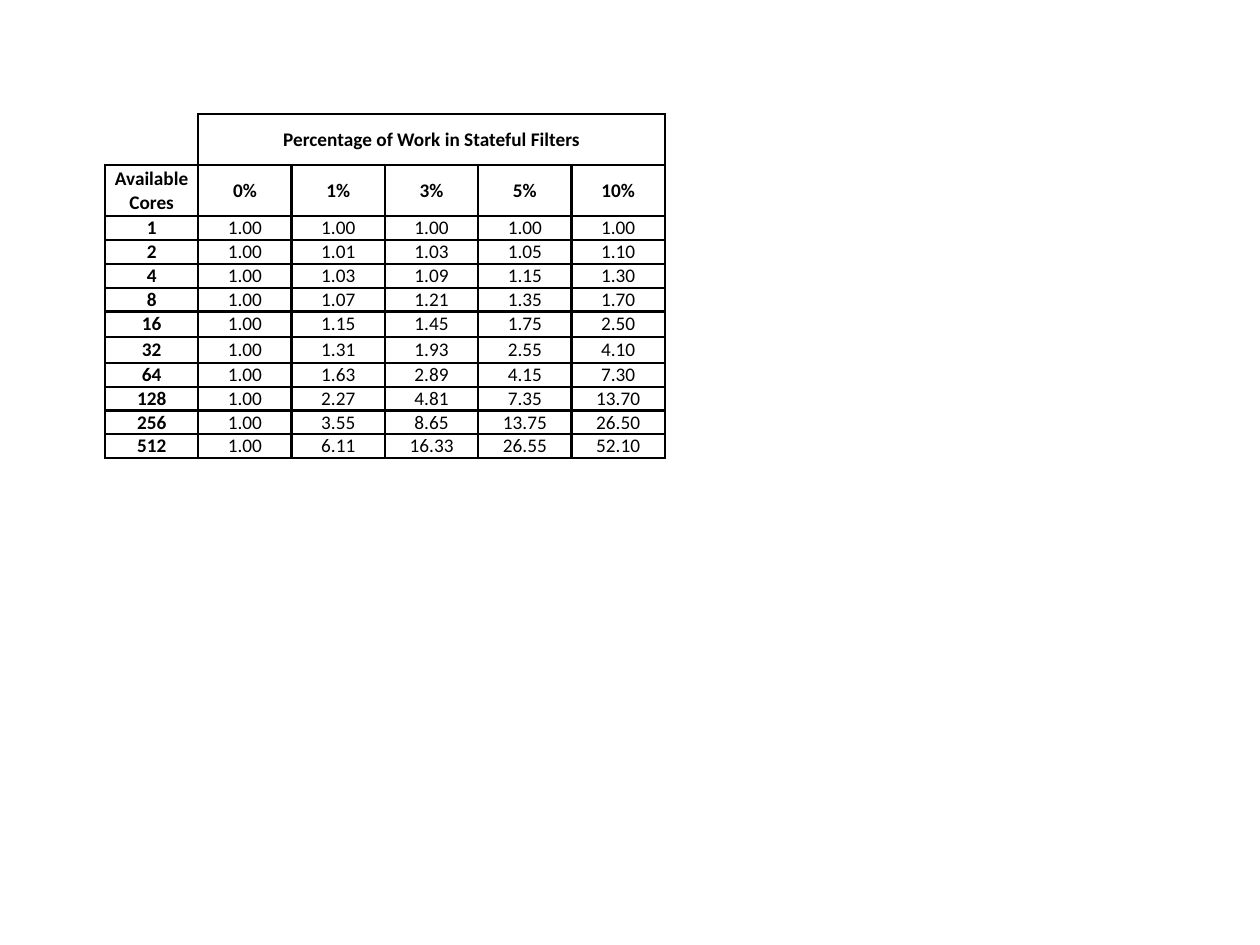
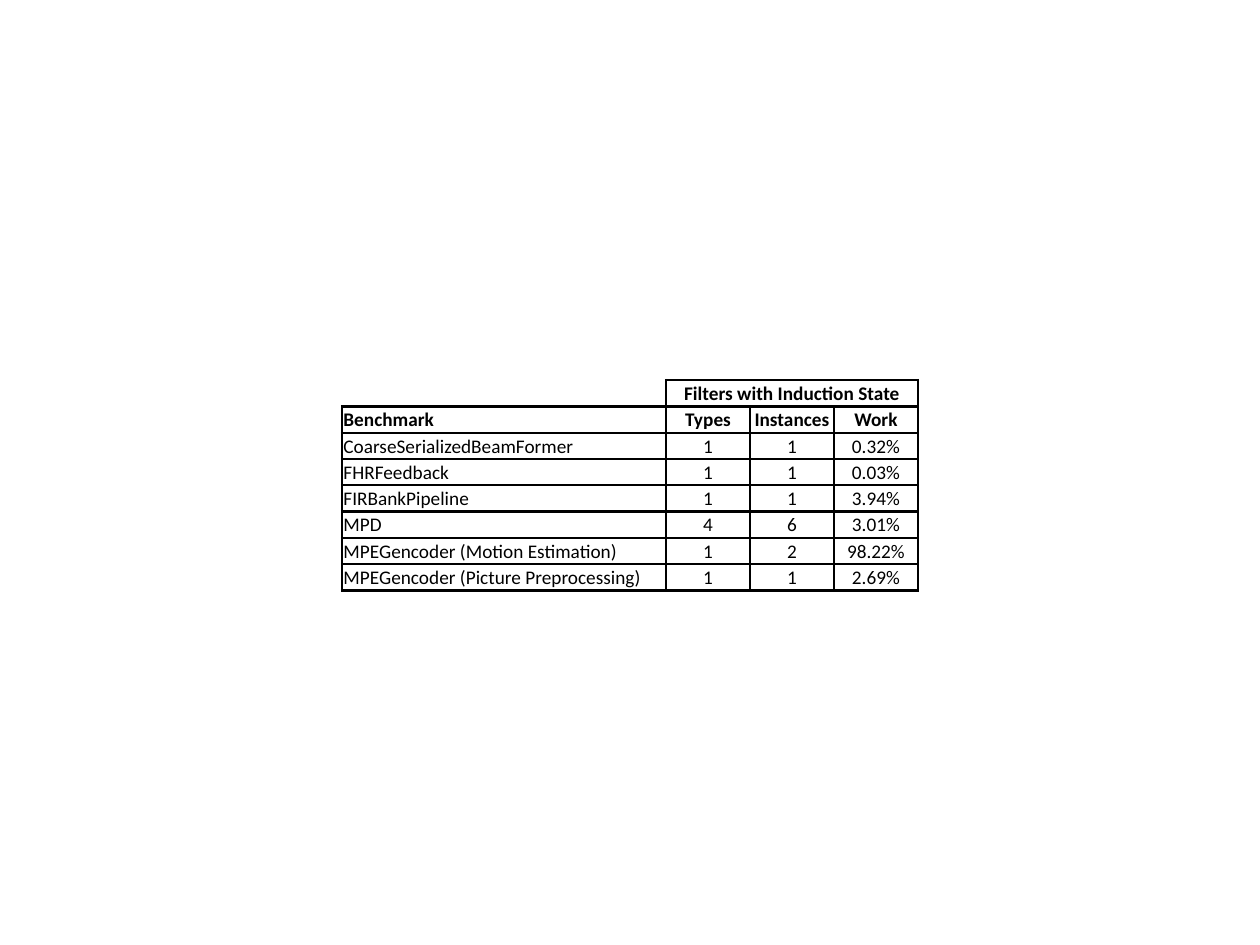
import pptx
import pptx.util
import pptx.dml.color
import pptx.enum.text
import pptx.oxml
import pptx.oxml.ns
from dataclasses import dataclass

Pt = pptx.util.Pt
CENTER = pptx.enum.text.PP_ALIGN.CENTER
LEFT = pptx.enum.text.PP_ALIGN.LEFT


@dataclass(frozen=True)
class Theme:
    font: str = "Calibri"
    size: float = 11
    ink: str = "000000"
    border: float = 1.5


THEME = Theme()

SLOWDOWN = {
    "left": 60, "top": 65.1,
    "columns": [53.33] * 6,
    "rows": [29.25] * 2 + [13.5] * 4 + [14.4, 15] + [13.5] * 4,
    "insets": (0, 0, 0, 0),
    "label_align": CENTER,
    "label_bold": True,
    "heading": "Percentage of Work in Stateful Filters",
    "header": ["Available Cores", "0%", "1%", "3%", "5%", "10%"],
    "body": [
        ["1", "1.00", "1.00", "1.00", "1.00", "1.00"],
        ["2", "1.00", "1.01", "1.03", "1.05", "1.10"],
        ["4", "1.00", "1.03", "1.09", "1.15", "1.30"],
        ["8", "1.00", "1.07", "1.21", "1.35", "1.70"],
        ["16", "1.00", "1.15", "1.45", "1.75", "2.50"],
        ["32", "1.00", "1.31", "1.93", "2.55", "4.10"],
        ["64", "1.00", "1.63", "2.89", "4.15", "7.30"],
        ["128", "1.00", "2.27", "4.81", "7.35", "13.70"],
        ["256", "1.00", "3.55", "8.65", "13.75", "26.50"],
        ["512", "1.00", "6.11", "16.33", "26.55", "52.10"],
    ],
}

INDUCTION = {
    "left": 195.5, "top": 217.2,
    "columns": [185.1] + [48] * 3,
    "rows": [15.05] * 8,
    "insets": (0.75, 0.75, 0.75, 0),
    "label_align": LEFT,
    "label_bold": False,
    "heading": "Filters with Induction State",
    "header": ["Benchmark", "Types", "Instances", "Work"],
    "body": [
        ["CoarseSerializedBeamFormer", "1", "1", "0.32%"],
        ["FHRFeedback", "1", "1", "0.03%"],
        ["FIRBankPipeline", "1", "1", "3.94%"],
        ["MPD", "4", "6", "3.01%"],
        ["MPEGencoder (Motion Estimation)", "1", "2", "98.22%"],
        ["MPEGencoder (Picture Preprocessing)", "1", "1", "2.69%"],
    ],
}


def add_borders(cell, visible_sides):
    properties = cell._tc.get_or_add_tcPr()
    for side in "LRTB":
        line = pptx.oxml.parse_xml(
            f'<a:ln{side} {pptx.oxml.ns.nsdecls("a")} w="{Pt(THEME.border)}">'
            + (f'<a:solidFill><a:srgbClr val="{THEME.ink}"/></a:solidFill>'
               if side in visible_sides else "<a:noFill/>")
            + f"</a:ln{side}>")
        properties.append(line)


def format_cell(cell, text, insets, align, bold, visible_sides):
    add_borders(cell, visible_sides)
    cell.fill.background()
    (cell.margin_left, cell.margin_top,
     cell.margin_right, cell.margin_bottom) = map(Pt, insets)
    cell.vertical_anchor = pptx.enum.text.MSO_ANCHOR.MIDDLE
    cell.text = text
    paragraph = cell.text_frame.paragraphs[0]
    paragraph.alignment = align
    font = paragraph.font
    font.name = THEME.font
    font.size = Pt(THEME.size)
    font.bold = bold
    font.color.rgb = pptx.dml.color.RGBColor.from_string(THEME.ink)
    if not text:
        paragraph._p.append(pptx.oxml.parse_xml(
            f'<a:endParaRPr {pptx.oxml.ns.nsdecls("a")} '
            f'sz="{round(THEME.size * 100)}"/>'))


def add_data_table(slide, content):
    columns, rows = content["columns"], content["rows"]
    table = slide.shapes.add_table(
        len(rows), len(columns), Pt(content["left"]), Pt(content["top"]),
        Pt(sum(columns)), Pt(sum(rows))).table
    table.first_row = table.horz_banding = False
    for column, width in zip(table.columns, columns):
        column.width = Pt(width)
    for row, height in zip(table.rows, rows):
        row.height = Pt(height)

    heading_row = ["", content["heading"]] + [""] * (len(columns) - 2)
    lines = [heading_row, content["header"]] + content["body"]
    for row_index, line in enumerate(lines):
        for column_index, text in enumerate(line):
            is_label = column_index == 0
            is_corner = is_label and row_index == 0
            format_cell(
                table.cell(row_index, column_index), text, content["insets"],
                content["label_align"] if is_label else CENTER,
                row_index < 2 or (is_label and content["label_bold"]),
                "RB" if is_corner else "LRTB")
    table.cell(0, 1).merge(table.cell(0, len(columns) - 1))


presentation = pptx.Presentation()
presentation.slide_width, presentation.slide_height = Pt(720), Pt(540)
blank_layout = presentation.slide_layouts[6]
for content in (SLOWDOWN, INDUCTION):
    add_data_table(presentation.slides.add_slide(blank_layout), content)
presentation.save("out.pptx")
